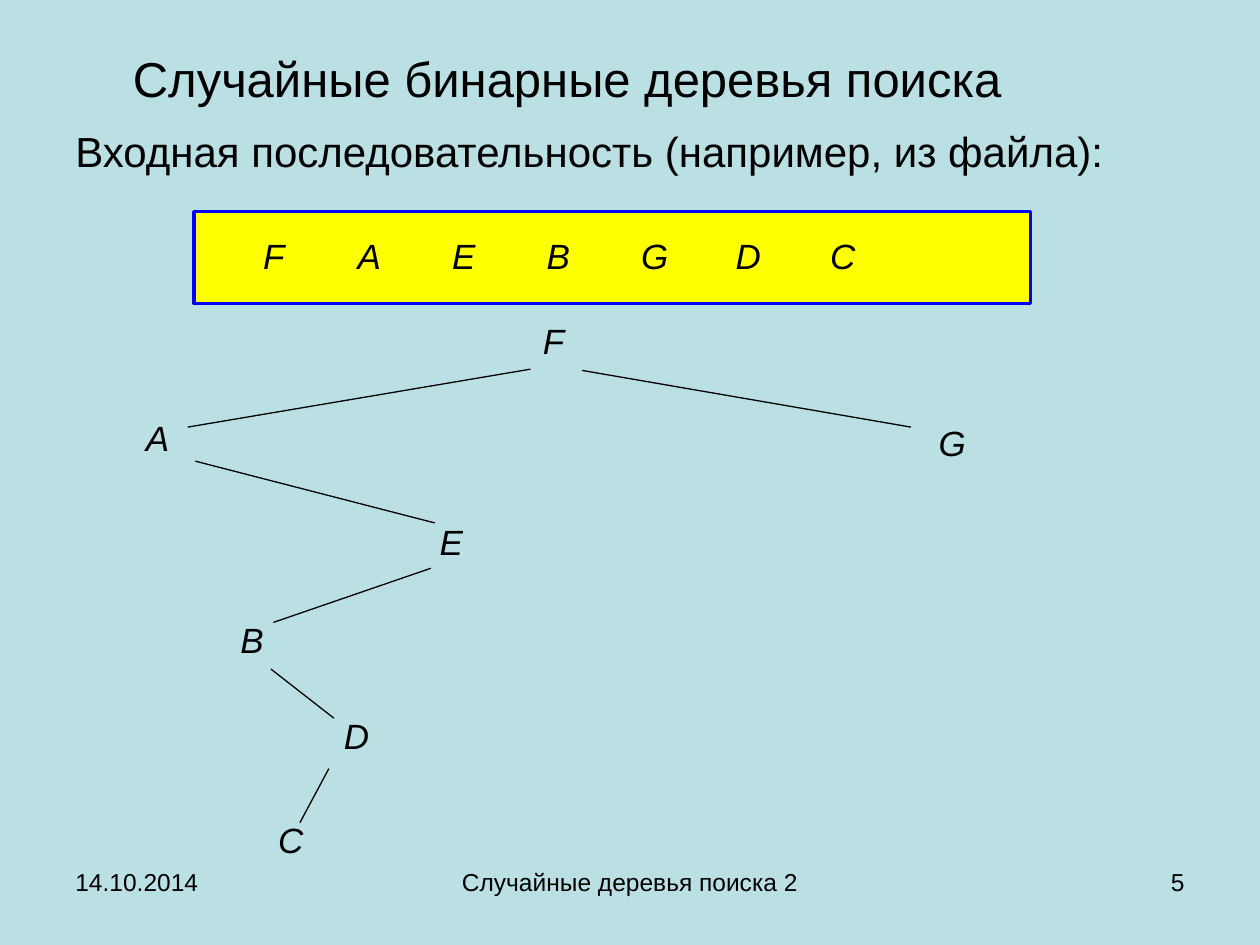
from lxml.etree import SubElement
from pptx import Presentation
from pptx.dml.color import RGBColor
from pptx.enum.shapes import MSO_CONNECTOR, MSO_SHAPE
from pptx.enum.text import MSO_ANCHOR, PP_ALIGN
from pptx.oxml.ns import qn
from pptx.util import Inches, Pt

BACKGROUND = RGBColor(0xBB, 0xE0, 0xE3)
BLACK = RGBColor(0x00, 0x00, 0x00)
YELLOW = RGBColor(0xFF, 0xFF, 0x00)
BLUE = RGBColor(0x00, 0x00, 0xFF)

TITLE = {"size": Pt(28)}
SUBTITLE = {"size": Pt(24)}
KEY = {"size": Pt(20), "italic": True}
FOOTER = {"size": Pt(14)}

KEY_SIZE = (0.45, 0.44)
SEQUENCE = "FAEBGDC"
NODES = {
    "F": (3.15, 0),
    "A": (0, 0.77),
    "E": (2.33, 1.59),
    "B": (0.75, 2.37),
    "G": (6.29, 0.81),
    "D": (1.57, 3.13),
    "C": (1.05, 3.96),
}
EDGES = [
    (3.15, 0.44, 0.43, 0.9),
    (0.49, 1.17, 2.39, 1.66),
    (2.36, 2.02, 1.11, 2.45),
    (3.56, 0.45, 6.17, 0.9),
    (1.09, 2.82, 1.59, 3.21),
    (1.55, 3.61, 1.32, 4.04),
]


def add_text(slide, box, text, font_format, alignment=PP_ALIGN.LEFT, anchor=MSO_ANCHOR.TOP):
    """Place one line of text in a box."""
    shape = slide.shapes.add_textbox(*map(Inches, box))
    frame = shape.text_frame
    frame.word_wrap = True
    frame.vertical_anchor = anchor
    paragraph = frame.paragraphs[0]
    paragraph.alignment = alignment
    run = paragraph.add_run()
    run.text = text
    for name, value in {"name": "Arial", **font_format}.items():
        setattr(run.font, name, value)
    run.font.color.rgb = BLACK


def add_edge(slide, start, end):
    """Draw a thin line between two points."""
    connector = slide.shapes.add_connector(
        MSO_CONNECTOR.STRAIGHT, *map(Inches, (*start, *end))
    )
    connector.line.color.rgb = BLACK
    connector.line.width = Pt(0.75)
    SubElement(connector.element.spPr, qn("a:effectLst"))


def add_heading(slide, left, top):
    """Place the title above the subtitle."""
    add_text(slide, (left, top, 8, 0.63), "Случайные бинарные деревья поиска",
             TITLE, PP_ALIGN.CENTER, MSO_ANCHOR.MIDDLE)
    add_text(slide, (left, top + 0.65, 9, 0.6),
             "Входная последовательность (например, из файла):", SUBTITLE)


def add_sequence(slide, left, top, width, height):
    """Draw the input band with its evenly spaced keys."""
    band = slide.shapes.add_shape(
        MSO_SHAPE.RECTANGLE, *map(Inches, (left, top, width, height))
    )
    band.shadow.inherit = False
    band.fill.solid()
    band.fill.fore_color.rgb = YELLOW
    band.line.color.rgb = BLUE
    band.line.width = Pt(1.75)
    for index, key in enumerate(SEQUENCE):
        add_text(slide, (left + 0.45 + 0.75 * index, top + 0.13, *KEY_SIZE), key, KEY)


def add_tree(slide, left, top):
    """Draw the search tree built from the sequence."""
    for x1, y1, x2, y2 in EDGES:
        add_edge(slide, (left + x1, top + y1), (left + x2, top + y2))
    for key, (x, y) in NODES.items():
        add_text(slide, (left + x, top + y, *KEY_SIZE), key, KEY)


def add_footer(slide, left, top, width, height):
    """Place the date, the footer text and the slide number."""
    side, middle = 2.33, 3.17
    add_text(slide, (left, top, side, height), "14.10.2014", FOOTER)
    add_text(slide, (left + (width - middle) / 2, top, middle, height),
             "Случайные деревья поиска 2", FOOTER, PP_ALIGN.CENTER)
    add_text(slide, (left + width - side, top, side, height), "5", FOOTER, PP_ALIGN.RIGHT)


def main():
    """Build the slide and save it."""
    presentation = Presentation()
    presentation.slide_width = Inches(10)
    presentation.slide_height = Inches(7.5)
    slide = presentation.slides.add_slide(presentation.slide_layouts[6])
    slide.background.fill.solid()
    slide.background.fill.fore_color.rgb = BACKGROUND
    add_footer(slide, 0.5, 6.83, 9, 0.52)
    add_heading(slide, 0.5, 0.3)
    add_sequence(slide, 1.54, 1.68, 6.64, 0.73)
    add_tree(slide, 1.06, 2.49)
    presentation.save("out.pptx")


if __name__ == "__main__":
    main()
